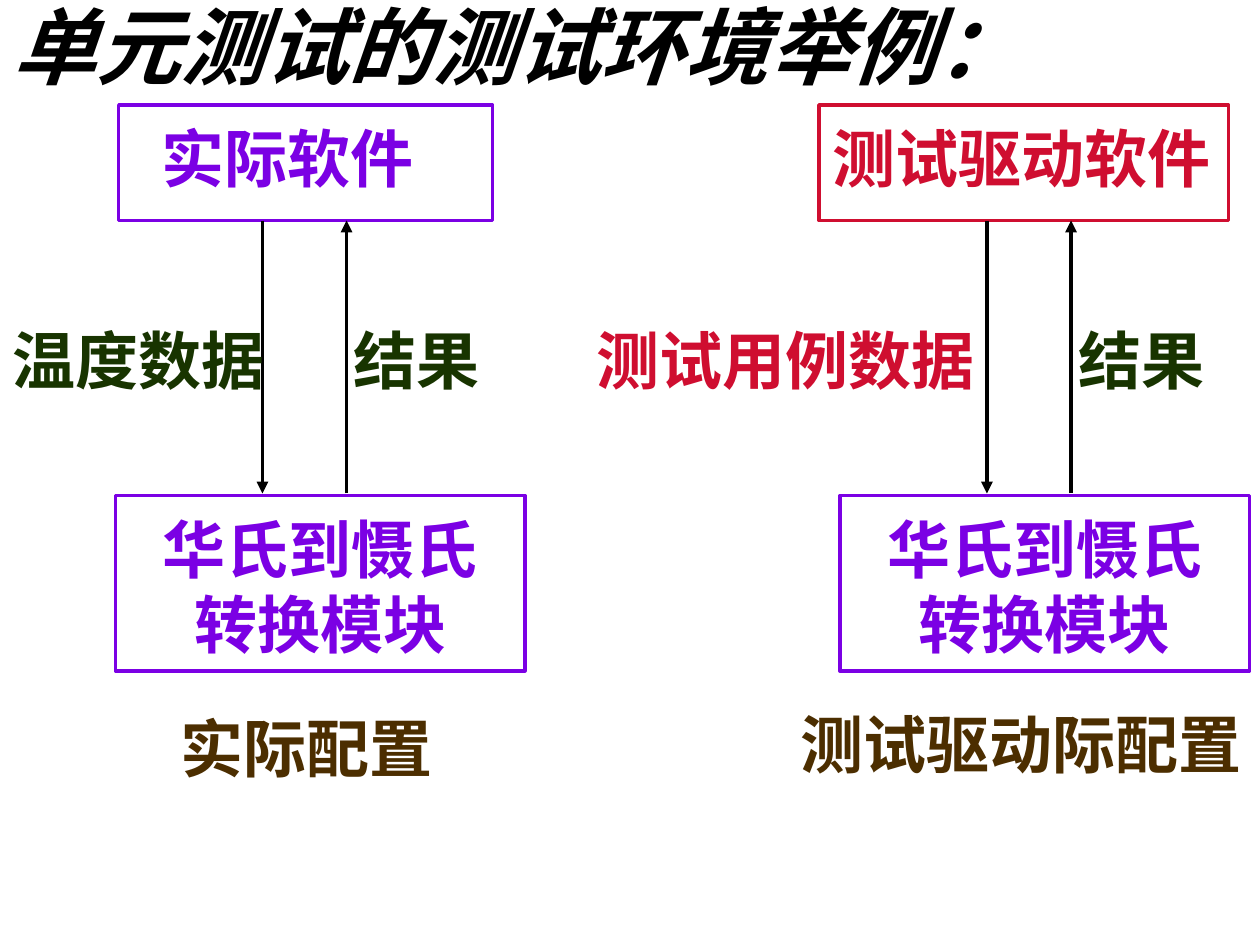
from lxml import etree
from pptx import Presentation, util as u
from pptx.dml.color import RGBColor
from pptx.enum import shapes, text
from pptx.oxml import ns

FONT = "Noto Sans CJK SC"
BLACK = RGBColor(0, 0, 0)
VIOLET = RGBColor(0x7B, 0x00, 0xE4)
RED = RGBColor(0xCF, 0x0E, 0x30)
GREEN = RGBColor(0x18, 0x34, 0x00)
BROWN = RGBColor(0x4C, 0x2E, 0x00)
COLS = 120
WIDE = u.Inches(10)
HIGH = u.Inches(7.5)


def grid(*cells):
    return [round(cell * WIDE / COLS) for cell in cells]


def label(slide, box, lines, color, size=36, align=text.PP_ALIGN.LEFT,
          wrap=False, slant=False, pitch=None):
    frame = slide.shapes.add_textbox(*grid(*box)).text_frame
    frame.word_wrap = wrap
    for i, line in enumerate(lines):
        para = frame.paragraphs[0] if i == 0 else frame.add_paragraph()
        para.alignment = align
        para.line_spacing = pitch
        run = para.add_run()
        run.text = line
        font = run.font
        font.size = u.Pt(size)
        font.bold = True
        font.italic = slant
        font.color.rgb = color
        font.name = FONT
        etree.SubElement(run._r.get_or_add_rPr(), ns.qn("a:ea"), typeface=FONT)


def frame(slide, box, color):
    rect = slide.shapes.add_shape(shapes.MSO_SHAPE.RECTANGLE, *grid(*box))
    rect.shadow.inherit = False
    rect.fill.background()
    rect.line.color.rgb = color
    rect.line.width = u.Pt(2)


def arrow(slide, col, start, end):
    line = slide.shapes.add_connector(
        shapes.MSO_CONNECTOR.STRAIGHT, *grid(col, start, col, end))
    line.line.color.rgb = BLACK
    line.line.width = u.Pt(2.25)
    etree.SubElement(line.line._get_or_add_ln(), ns.qn("a:tailEnd"), type="triangle")
    etree.SubElement(line._element.spPr, ns.qn("a:effectLst"))


def title(slide, box):
    label(slide, box, ["单元测试的测试环境举例："], BLACK, 48,
          wrap=True, slant=True, pitch=0.9)


def setup(slide, left, head, feed, foot):
    name, color, col, width, inset = head
    frame(slide, (col, 10, width, 11), color)
    label(slide, (col + inset, 10.8, width - inset, 8.4), [name], color)

    frame(slide, (left, 47.2, 39, 16.7), VIOLET)
    label(slide, (left + 2, 48, 35, 15.6), ["华氏到慑氏", "转换模块"],
          VIOLET, align=text.PP_ALIGN.CENTER, wrap=True)

    arrow(slide, left + 14, 21, 47)
    arrow(slide, left + 22, 47, 21)
    name, color, col, width = feed
    label(slide, (col, 30, width, 8.4), [name], color)
    label(slide, (left + 21.5, 30, 14.4, 8.4), ["结果"], GREEN)

    name, col, row, width = foot
    label(slide, (col, row, width, 8.4), [name], BROWN)


def main():
    deck = Presentation()
    deck.slide_width, deck.slide_height = WIDE, HIGH
    slide = deck.slides.add_slide(deck.slide_layouts[6])
    title(slide, (0, 0, 119, 10))
    setup(slide, 11,
          ("实际软件", VIOLET, 11.3, 35.6, 2.9),
          ("温度数据", GREEN, 0, 26.4),
          ("实际配置", 16, 67, 30))
    setup(slide, 80,
          ("测试驱动软件", RED, 78, 39, 0.1),
          ("测试用例数据", RED, 55.6, 38.4),
          ("测试驱动际配置", 75.1, 66.6, 44.4))
    deck.save("out.pptx")


if __name__ == "__main__":
    main()
